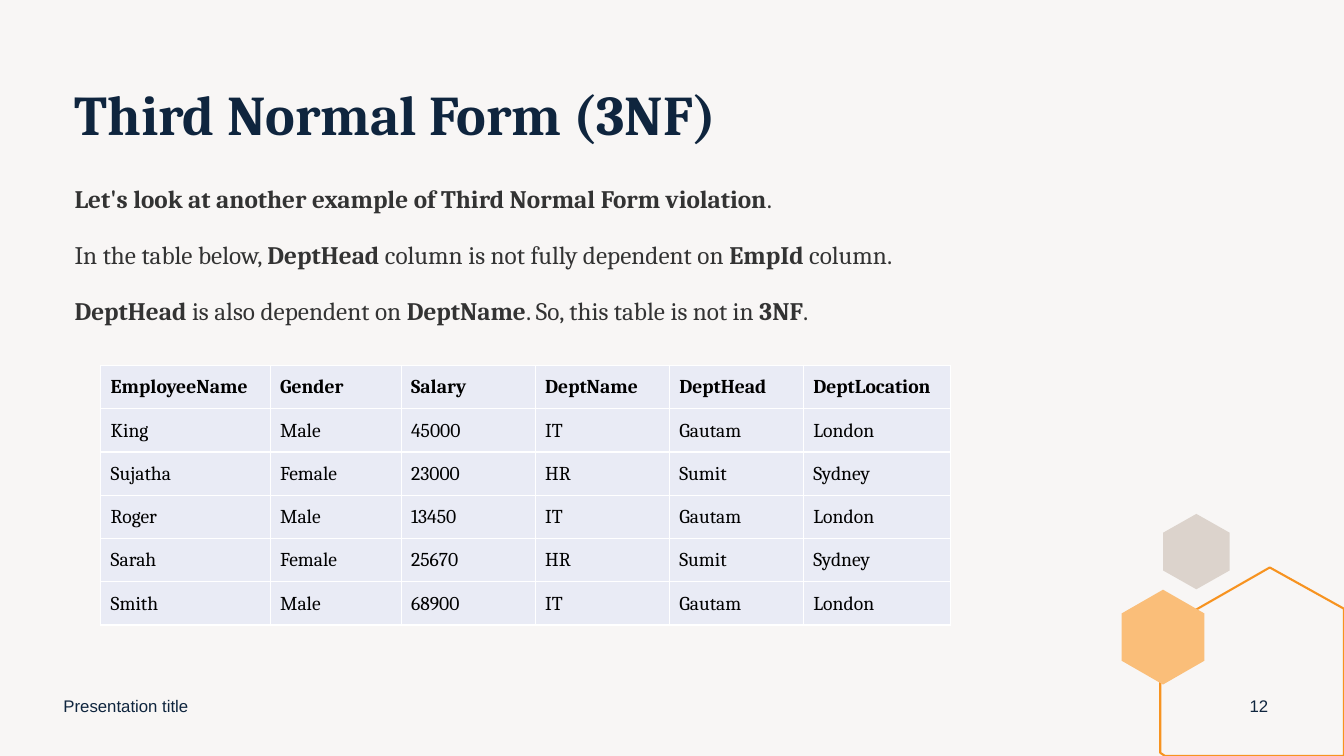
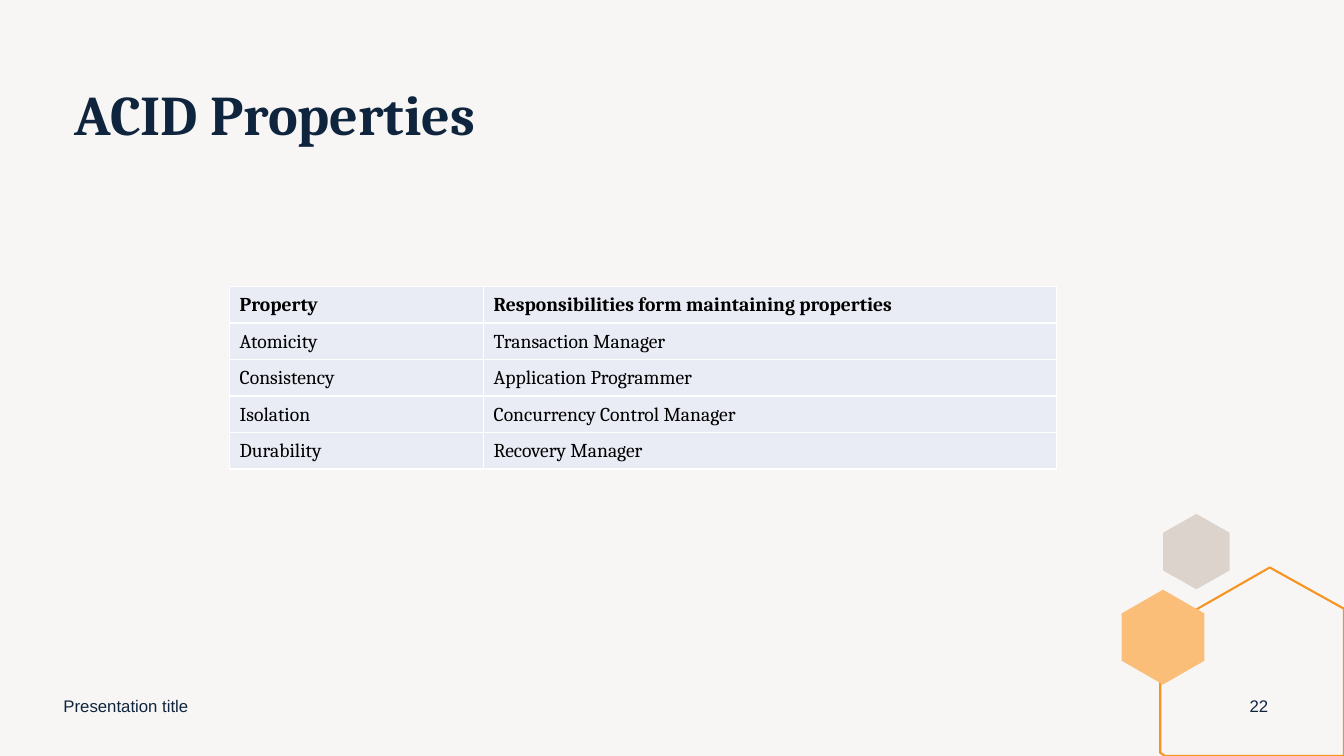
from dataclasses import dataclass

from lxml import etree
from pptx import Presentation
from pptx import util as u
from pptx.dml.color import RGBColor
from pptx.enum import text as t
from pptx.oxml.ns import qn
from pptx.slide import Slide
from pptx.text.text import TextFrame
from pptx.util import Cm

NAVY = RGBColor(0x0F, 0x25, 0x3E)
CHARCOAL = RGBColor(0x33, 0x33, 0x33)
BLACK = RGBColor(0x00, 0x00, 0x00)
WHITE = RGBColor(0xFF, 0xFF, 0xFF)
PAPER = RGBColor(0xF8, 0xF6, 0xF5)
STONE = RGBColor(0xDC, 0xD3, 0xCC)
ORANGE = RGBColor(0xF7, 0x93, 0x20)
APRICOT = RGBColor(0xFA, 0xBE, 0x79)
CELL_TINT = RGBColor(0xE9, 0xEB, 0xF5)

SERIF, SANS = "Cambria", "Arial"
TITLE_ONLY = 5
SLIDE_WIDTH, SLIDE_HEIGHT = 33.87, 19.05
CONTENT_LEFT, CONTENT_WIDTH = 1.63, 30.25


@dataclass(frozen=True)
class Box:
    """A frame on the slide, in centimetres."""
    left: float
    top: float
    width: float
    height: float

    def lengths(self) -> tuple[Cm, Cm, Cm, Cm]:
        return Cm(self.left), Cm(self.top), Cm(self.width), Cm(self.height)


@dataclass(frozen=True)
class Grid:
    """A table with its header first; lengths in centimetres."""
    left: float
    top: float
    row_height: float
    column_widths: tuple[float, ...]
    rows: tuple[tuple[str, ...], ...]


@dataclass(frozen=True)
class Page:
    title: str
    number: int
    grid: Grid
    body: str = ""


@dataclass(frozen=True)
class Outline:
    points: tuple[tuple[float, float], ...]
    fill: RGBColor | None = None
    line: RGBColor | None = None


def hexagon(box: Box) -> tuple[tuple[float, float], ...]:
    """Corners of a hexagon that stands on a point."""
    middle, right = box.left + box.width / 2, box.left + box.width
    upper, lower = box.top + box.height / 4, box.top + box.height * 3 / 4
    return ((middle, box.top), (right, upper), (right, lower),
            (middle, box.top + box.height), (box.left, lower), (box.left, upper))


HONEYCOMB = (
    Outline(hexagon(Box(29.31, 12.95, 1.68, 1.9)), fill=STONE),
    Outline(((32, 14.3), (SLIDE_WIDTH, 15.34), (SLIDE_WIDTH, SLIDE_HEIGHT),
             (29.36, SLIDE_HEIGHT), (29.24, 18.97), (29.24, 15.88)), line=ORANGE),
    Outline(hexagon(Box(28.27, 14.86, 2.08, 2.39)), fill=APRICOT),
)

PAGES = (
    Page(
        "Third Normal Form (3NF)", 12,
        Grid(2.54, 9.21, 1.09, (4.27, 3.3, 3.38, 3.38, 3.38, 3.71), (
            ("EmployeeName", "Gender", "Salary", "DeptName", "DeptHead", "DeptLocation"),
            ("King", "Male", "45000", "IT", "Gautam", "London"),
            ("Sujatha", "Female", "23000", "HR", "Sumit", "Sydney"),
            ("Roger", "Male", "13450", "IT", "Gautam", "London"),
            ("Sarah", "Female", "25670", "HR", "Sumit", "Sydney"),
            ("Smith", "Male", "68900", "IT", "Gautam", "London"),
        )),
        "*Let's look at another example of Third Normal Form violation*.\n"
        "In the table below, *DeptHead* column is not fully dependent on *EmpId* column.\n"
        "*DeptHead* is also dependent on *DeptName*. So, this table is not in *3NF*.",
    ),
    Page(
        "ACID Properties", 22,
        Grid(5.79, 7.22, 0.92, (6.4, 14.43), (
            ("Property", "Responsibilities form maintaining properties"),
            ("Atomicity", "Transaction Manager"),
            ("Consistency", "Application Programmer"),
            ("Isolation", "Concurrency Control Manager"),
            ("Durability", "Recovery Manager"),
        )),
    ),
)


def write(frame: TextFrame, content: str, *, size: float, color: RGBColor,
          font: str = SERIF, bold: bool = False,
          align: t.PP_ALIGN = t.PP_ALIGN.LEFT,
          line_spacing: float | u.Length | None = None,
          space_before: float = 0) -> None:
    """Fill a frame: each line is a paragraph, *starred* words are bold."""
    for index, line in enumerate(content.split("\n")):
        paragraph = frame.add_paragraph() if index else frame.paragraphs[0]
        paragraph.alignment = align
        paragraph.space_before = u.Pt(space_before)
        if line_spacing is not None:
            paragraph.line_spacing = line_spacing
        for position, words in enumerate(line.split("*")):
            if not words:
                continue
            run = paragraph.add_run()
            run.text = words
            run.font.name = font
            run.font.size = u.Pt(size)
            run.font.bold = bold or position % 2 == 1
            run.font.color.rgb = color


def add_text(slide: Slide, box: Box, content: str, *,
             anchor: t.MSO_ANCHOR = t.MSO_ANCHOR.TOP, **text_format) -> None:
    frame = slide.shapes.add_textbox(*box.lengths()).text_frame
    frame.word_wrap = True
    frame.vertical_anchor = anchor
    write(frame, content, **text_format)


def add_outline(slide: Slide, outline: Outline) -> None:
    start, *others = [(Cm(x), Cm(y)) for x, y in outline.points]
    builder = slide.shapes.build_freeform(*start)
    builder.add_line_segments(others, close=True)
    cell = builder.convert_to_shape()
    cell.shadow.inherit = False
    if outline.fill is None:
        cell.fill.background()
    else:
        cell.fill.solid()
        cell.fill.fore_color.rgb = outline.fill
    if outline.line is None:
        cell.line.fill.background()
    else:
        cell.line.color.rgb = outline.line
        cell.line.width = u.Pt(1.5)


def set_title(slide: Slide, content: str) -> None:
    title = slide.shapes.title
    box = Box(CONTENT_LEFT, 2.01, CONTENT_WIDTH, 1.9)
    title.left, title.top, title.width, title.height = box.lengths()
    title.text_frame.auto_size = t.MSO_AUTO_SIZE.NONE
    title.text_frame.vertical_anchor = t.MSO_ANCHOR.MIDDLE
    write(title.text_frame, content, size=40, color=NAVY, bold=True, line_spacing=0.9)


def add_footer(slide: Slide, number: int) -> None:
    footer_format = dict(size=12, font=SANS, color=NAVY, anchor=t.MSO_ANCHOR.MIDDLE)
    add_text(slide, Box(1.35, 17.27, 11.43, 1.02), "Presentation title", **footer_format)
    add_text(slide, Box(31.09, 17.27, 1.27, 1.02), str(number),
             align=t.PP_ALIGN.CENTER, **footer_format)


def add_borders(properties: etree._Element) -> None:
    for side in ("lnL", "lnR", "lnT", "lnB"):
        border = etree.SubElement(properties, qn(f"a:{side}"), w=str(u.Pt(1)))
        fill = etree.SubElement(border, qn("a:solidFill"))
        etree.SubElement(fill, qn("a:srgbClr"), val=str(WHITE))


def add_grid(slide: Slide, grid: Grid) -> None:
    row_count, column_count = len(grid.rows), len(grid.column_widths)
    box = Box(grid.left, grid.top, sum(grid.column_widths), grid.row_height * row_count)
    table = slide.shapes.add_table(row_count, column_count, *box.lengths()).table
    table.horz_banding = False
    for column, width in zip(table.columns, grid.column_widths):
        column.width = Cm(width)
    for row_index, values in enumerate(grid.rows):
        table.rows[row_index].height = Cm(grid.row_height)
        for column_index, value in enumerate(values):
            cell = table.cell(row_index, column_index)
            cell.margin_left = Cm(0.25)
            cell.margin_right = cell.margin_top = Cm(0.02)
            cell.margin_bottom = 0
            cell.vertical_anchor = t.MSO_ANCHOR.MIDDLE
            add_borders(cell._tc.get_or_add_tcPr())
            cell.fill.solid()
            cell.fill.fore_color.rgb = CELL_TINT
            write(cell.text_frame, value, size=14, color=BLACK, bold=row_index == 0)


def add_page(deck, page: Page) -> None:
    slide = deck.slides.add_slide(deck.slide_layouts[TITLE_ONLY])
    for outline in HONEYCOMB:
        add_outline(slide, outline)
    set_title(slide, page.title)
    add_footer(slide, page.number)
    if page.body:
        add_text(slide, Box(CONTENT_LEFT, 4.19, CONTENT_WIDTH, 12.85), page.body,
                 size=18, color=CHARCOAL, line_spacing=u.Pt(30), space_before=10)
    add_grid(slide, page.grid)


def main() -> None:
    deck = Presentation()
    deck.slide_width, deck.slide_height = Cm(SLIDE_WIDTH), Cm(SLIDE_HEIGHT)
    backdrop = deck.slide_master.background.fill
    backdrop.solid()
    backdrop.fore_color.rgb = PAPER
    for page in PAGES:
        add_page(deck, page)
    deck.save("out.pptx")


if __name__ == "__main__":
    main()
